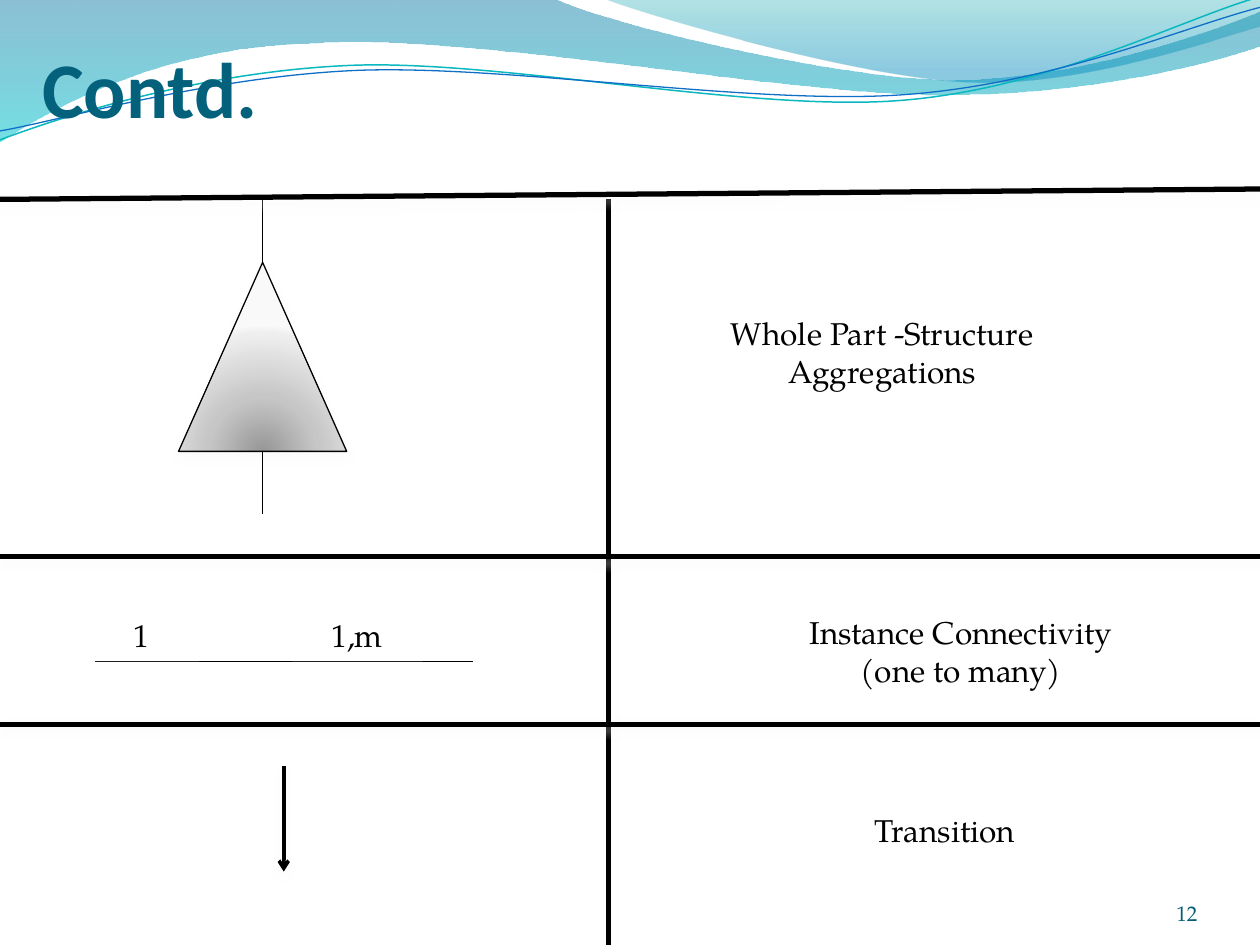
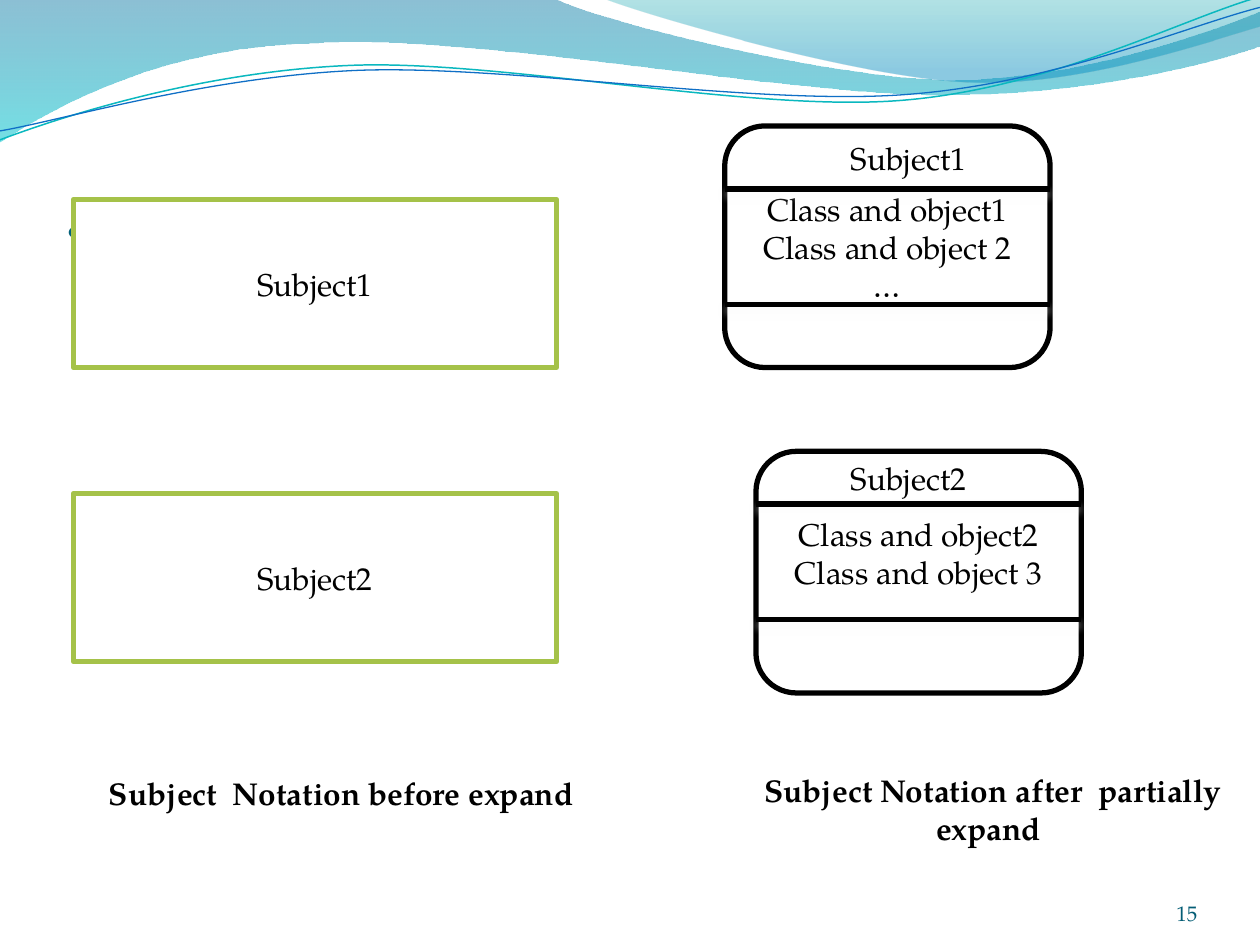
from dataclasses import dataclass
from typing import Optional

import pptx
import pptx.dml.color
import pptx.enum.shapes
import pptx.enum.text
import pptx.oxml
import pptx.oxml.ns
import pptx.util
from lxml import etree

RGBColor = pptx.dml.color.RGBColor
Cm = pptx.util.Cm
Pt = pptx.util.Pt
Preset = pptx.enum.shapes.MSO_SHAPE
Align = pptx.enum.text.PP_ALIGN
Anchor = pptx.enum.text.MSO_ANCHOR
qn = pptx.oxml.ns.qn

BLACK = RGBColor(0x00, 0x00, 0x00)
WHITE = RGBColor(0xFF, 0xFF, 0xFF)
SHADOW_GREY = RGBColor(0xFA, 0xFA, 0xFA)
TITLE_TEAL = RGBColor(0x04, 0x61, 0x7B)
NUMBER_TEAL = RGBColor(0x04, 0x5D, 0x75)
SUBJECT_GREEN = RGBColor(0xA5, 0xC2, 0x49)
WAVE_TEAL = RGBColor(0x0A, 0xB8, 0xBF)
WAVE_BLUE = RGBColor(0x0F, 0x6F, 0xC6)
BAND_BLUE = RGBColor(0x00, 0x74, 0xA1)
BAND_CYAN = RGBColor(0x00, 0xC6, 0xCF)
BAND_TEAL = RGBColor(0x00, 0xA1, 0xA9)
BAND_SKY = RGBColor(0x00, 0x8B, 0xBF)
GREYS = [RGBColor(v, v, v) for v in (0x97, 0xC6, 0xEE, 0xF9)]

BODY_FONT = "TeX Gyre Pagella"
TITLE_FONT = "Calibri"
SLIDE_WIDTH, SLIDE_HEIGHT = 25.4, 19.05
HEAVY = 3
DOWNWARD = '<a:lin ang="5400000" scaled="0"/>'
FROM_BASE = ('<a:path path="circle"><a:fillToRect l="50000" t="130000" '
             'r="50000" b="-30000"/></a:path>')

Point = tuple[float, float]
Stop = tuple[int, RGBColor, int]  # position %, colour, opacity %


@dataclass(frozen=True)
class Wave:
    """Outline in cm; a segment of one point is straight, of three a Bézier curve."""
    start: Point
    segments: tuple[tuple[Point, ...], ...]
    stops: tuple[Stop, ...] = ()
    line: Optional[RGBColor] = None
    line_width: float = 0


@dataclass(frozen=True)
class Label:
    lines: tuple[str, ...]
    left: float
    top: float
    width: float
    height: float
    outline: Optional[RGBColor] = None
    bold: bool = False
    preset: Preset = Preset.RECTANGLE


@dataclass(frozen=True)
class Rule:
    start: Point
    end: Point
    width: float = HEAVY
    shadow: bool = True
    arrow: bool = False


@dataclass(frozen=True)
class ExpandedSubject:
    box: Label
    header: Label
    dividers: tuple[float, float]


WAVES = (
    Wave((0, 0), (
        ((11.18, -0.03),),
        ((12.09, 0.43), (16.87, 1.6), (19.25, 1.6)),
        ((21.67, 1.6), (24.33, 0.66), (25.4, 0.23)),
        ((25.43, 0.91),),
        ((24.97, 1.12), (22.1, 1.93), (18.95, 1.91)),
        ((15.8, 1.91), (9.7, 0.71), (6.53, 0.86)),
        ((3.28, 0.91), (1.17, 2.11), (-0.03, 2.87)),
    ), stops=((0, BAND_BLUE, 45), (100, BAND_CYAN, 55))),
    Wave((12.17, -0.03), (
        ((12.93, 0.28), (17.32, 1.57), (19.53, 1.65)),
        ((21.74, 1.75), (24.41, 0.81), (25.4, 0.53)),
        ((25.4, 0),),
    ), stops=((0, BAND_TEAL, 30), (80, BAND_SKY, 45))),
    Wave((0, 2.82), (
        ((1.22, 2.36), (4.01, 1.45), (7.04, 1.32)),
        ((10.03, 1.19), (15.06, 2.26), (18.11, 2.03)),
        ((21.16, 1.8), (23.83, 0.38), (25.35, -0.05)),
    ), line=WAVE_TEAL, line_width=0.85),
    Wave((0, 2.64), (
        ((1.19, 2.44), (4.17, 1.55), (7.19, 1.42)),
        ((10.24, 1.3), (15.16, 2.13), (18.21, 1.91)),
        ((21.23, 1.7), (23.9, 0.53), (25.4, 0.15)),
    ), line=WAVE_BLUE, line_width=0.75),
)

COLUMN_X, TABLE_TOP = 12.27, 4.02
PART_X = 5.29
COLUMN_RULE = Rule((COLUMN_X, TABLE_TOP), (COLUMN_X, SLIDE_HEIGHT))
NOTATION_RULES = (
    Rule((PART_X, TABLE_TOP), (PART_X, 5.29), 0.75, shadow=False),
    Rule((PART_X, 9.1), (PART_X, 10.37), 0.75, shadow=False),
    Rule((0, 11.22), (SLIDE_WIDTH, 11.22)),
    Rule((1.91, 13.34), (9.53, 13.34), 0.75, shadow=False),
    Rule((5.72, 15.45), (5.72, 17.57), 2, arrow=True),
    Rule((0, TABLE_TOP), (SLIDE_WIDTH, 3.81)),
    Rule((0, 14.6), (SLIDE_WIDTH, 14.6)),
)
NOTATION_LABELS = (
    Label(("Whole Part -Structure Aggregations",), 13.34, 4.87, 8.89, 4.45),
    Label(("1",), 1.69, 12.27, 2.33, 1.06),
    Label(("1,m",), 5.72, 12.27, 2.96, 1.06, preset=Preset.ROUNDED_RECTANGLE),
    Label(("Instance Connectivity", "(one to many)"), 15.24, 12.07, 8.26, 2.12),
    Label(("Transition",), 15.66, 15.67, 6.77, 2.12),
)

COLLAPSED_SUBJECTS = tuple(
    Label((subject,), 1.48, top, 9.74, 3.39, SUBJECT_GREEN)
    for subject, top in (("Subject1", 4.02), ("Subject2", 9.95)))
EXPANDED_SUBJECTS = (
    ExpandedSubject(
        Label(("Class and object1", "Class and object 2", "…"), 14.61, 2.54, 6.56, 4.87,
              BLACK, preset=Preset.ROUNDED_RECTANGLE),
        Label(("Subject1",), 15.88, 2.75, 4.87, 0.85), (3.81, 6.14)),
    ExpandedSubject(
        Label(("Class and object2", "Class and object 3", "…"), 15.24, 9.1, 6.56, 4.87,
              BLACK, preset=Preset.ROUNDED_RECTANGLE),
        Label(("Subject2",), 15.67, 9.31, 5.29, 0.64), (10.16, 12.49)),
)
CAPTIONS = (
    Label(("Subject  Notation before expand",), 1.48, 15.24, 10.8, 1.48, bold=True),
    Label(("Subject Notation after  partially expand ",), 14.61, 15.67, 10.8, 1.27,
          bold=True),
)


def add_run(paragraph, text: str, size: float, color: RGBColor,
            font: str = BODY_FONT, bold: bool = False) -> None:
    run = paragraph.add_run()
    run.text = text
    run.font.name = font
    run.font.size = Pt(size)
    run.font.bold = bold
    run.font.color.rgb = color


def set_gradient(shape, stops, direction: str) -> None:
    shape.fill.gradient()
    default_fill = shape.element.spPr.find(qn("a:gradFill"))
    stop_xml = "".join(
        f'<a:gs pos="{position * 1000}"><a:srgbClr val="{color}">'
        f'<a:alpha val="{opacity * 1000}"/></a:srgbClr></a:gs>'
        for position, color, opacity in stops)
    gradient = pptx.oxml.parse_xml(
        f'<a:gradFill {pptx.oxml.ns.nsdecls("a")} rotWithShape="1">'
        f'<a:gsLst>{stop_xml}</a:gsLst>{direction}</a:gradFill>')
    default_fill.getparent().replace(default_fill, gradient)


def set_effects(shape, shadow: bool) -> None:
    """Give the shape a soft shadow below it, or none at all."""
    effects = etree.SubElement(shape.element.spPr, qn("a:effectLst"))
    if shadow:
        outer = etree.SubElement(effects, qn("a:outerShdw"), blurRad=str(Pt(4.5)),
                                 dist=str(Pt(3)), dir="5400000", rotWithShape="0")
        color = etree.SubElement(outer, qn("a:srgbClr"), val=str(SHADOW_GREY))
        etree.SubElement(color, qn("a:alpha"), val="48000")


def bend_segments(shape, segments) -> None:
    """Turn each run of three straight steps that stands for a curve into one."""
    steps = iter(list(shape.element.iter(qn("a:lnTo"))))
    for segment in segments:
        straight = [next(steps) for _ in segment]
        if len(segment) == 3:
            curve = etree.Element(qn("a:cubicBezTo"))
            straight[0].addprevious(curve)
            for step in straight:
                curve.append(step[0])
                step.getparent().remove(step)


def draw_wave(slide, wave: Wave):
    builder = slide.shapes.build_freeform(*map(Cm, wave.start))
    points = [(Cm(x), Cm(y)) for segment in wave.segments for x, y in segment]
    builder.add_line_segments(points, close=bool(wave.stops))
    shape = builder.convert_to_shape()
    bend_segments(shape, wave.segments)
    shape.shadow.inherit = False
    if wave.stops:
        set_gradient(shape, wave.stops, DOWNWARD)
        shape.line.fill.background()
    else:
        shape.fill.background()
        shape.line.color.rgb = wave.line
        shape.line.width = Pt(wave.line_width)
    return shape


def move_waves_to_layout(slide) -> None:
    """Draw the waves, then hand them to the layout that every slide uses."""
    waves = [draw_wave(slide, wave) for wave in WAVES]
    layout_title = slide.slide_layout.placeholders[0].element
    for wave in waves:
        layout_title.addprevious(wave.element)


def draw_label(slide, label: Label) -> None:
    box = slide.shapes.add_shape(label.preset, Cm(label.left), Cm(label.top),
                                 Cm(label.width), Cm(label.height))
    box.shadow.inherit = False
    box.fill.solid()
    box.fill.fore_color.rgb = WHITE
    if label.outline is None:
        box.line.fill.background()
    else:
        box.line.color.rgb = label.outline
        box.line.width = Pt(HEAVY)
    frame = box.text_frame
    frame.word_wrap = True
    frame.vertical_anchor = Anchor.MIDDLE
    for index, line in enumerate(label.lines):
        paragraph = frame.add_paragraph() if index else frame.paragraphs[0]
        paragraph.alignment = Align.CENTER
        add_run(paragraph, line, 18, BLACK, bold=label.bold)


def draw_rule(slide, rule: Rule) -> None:
    connector = slide.shapes.add_connector(
        pptx.enum.shapes.MSO_CONNECTOR.STRAIGHT,
        *map(Cm, rule.start), *map(Cm, rule.end))
    connector.line.color.rgb = BLACK
    connector.line.width = Pt(rule.width)
    if rule.arrow:
        etree.SubElement(connector.element.spPr.find(qn("a:ln")), qn("a:tailEnd"),
                         type="arrow")
    set_effects(connector, rule.shadow)


def draw_aggregation_triangle(slide) -> None:
    triangle = slide.shapes.add_shape(Preset.ISOSCELES_TRIANGLE, Cm(3.6), Cm(5.29),
                                      Cm(3.39), Cm(3.81))
    stops = [(position, grey, 100) for position, grey in zip((0, 43, 93, 100), GREYS)]
    set_gradient(triangle, stops, FROM_BASE)
    triangle.line.color.rgb = BLACK
    triangle.line.width = Pt(0.75)
    set_effects(triangle, shadow=True)


def anchor_at_bottom(frame, top_margin: float = 0) -> None:
    frame.word_wrap = True
    frame.auto_size = pptx.enum.text.MSO_AUTO_SIZE.NONE
    frame.vertical_anchor = Anchor.BOTTOM
    frame.margin_left = frame.margin_right = frame.margin_bottom = 0
    frame.margin_top = Cm(top_margin)


def add_titled_slide(deck, title: str, left: float, top: float, height: float,
                     size: float, bold: bool, number: int):
    slide = deck.slides.add_slide(deck.slide_layouts[5])
    heading = slide.shapes.title
    heading.left, heading.top = Cm(left), Cm(top)
    heading.width, heading.height = Cm(23.06), Cm(height)
    anchor_at_bottom(heading.text_frame, 0.13)
    paragraph = heading.text_frame.paragraphs[0]
    paragraph.alignment = Align.LEFT
    add_run(paragraph, title, size, TITLE_TEAL, TITLE_FONT, bold)

    footer = slide.shapes.add_textbox(Cm(22.02), Cm(17.65), Cm(2.12), Cm(1.02))
    anchor_at_bottom(footer.text_frame)
    footer.text_frame.paragraphs[0].alignment = Align.RIGHT
    add_run(footer.text_frame.paragraphs[0], str(number), 12, NUMBER_TEAL)
    return slide


def build_notation_slide(deck) -> None:
    slide = add_titled_slide(deck, "Contd.", 0.85, 1.48, 1.22, 45, True, 12)
    draw_rule(slide, COLUMN_RULE)
    draw_aggregation_triangle(slide)
    for rule in NOTATION_RULES:
        draw_rule(slide, rule)
    for label in NOTATION_LABELS:
        draw_label(slide, label)
    move_waves_to_layout(slide)


def build_subject_slide(deck) -> None:
    slide = add_titled_slide(deck, ".", 1.27, 1.96, 3.18, 50, False, 15)
    for subject in COLLAPSED_SUBJECTS:
        draw_label(slide, subject)
    for subject in EXPANDED_SUBJECTS:
        box = subject.box
        draw_label(slide, box)
        for y in subject.dividers:
            draw_rule(slide, Rule((box.left, y), (box.left + box.width, y)))
        draw_label(slide, subject.header)
    for caption in CAPTIONS:
        draw_label(slide, caption)


def main() -> None:
    deck = pptx.Presentation()
    deck.slide_width, deck.slide_height = Cm(SLIDE_WIDTH), Cm(SLIDE_HEIGHT)
    build_notation_slide(deck)
    build_subject_slide(deck)
    deck.save("out.pptx")


if __name__ == "__main__":
    main()
